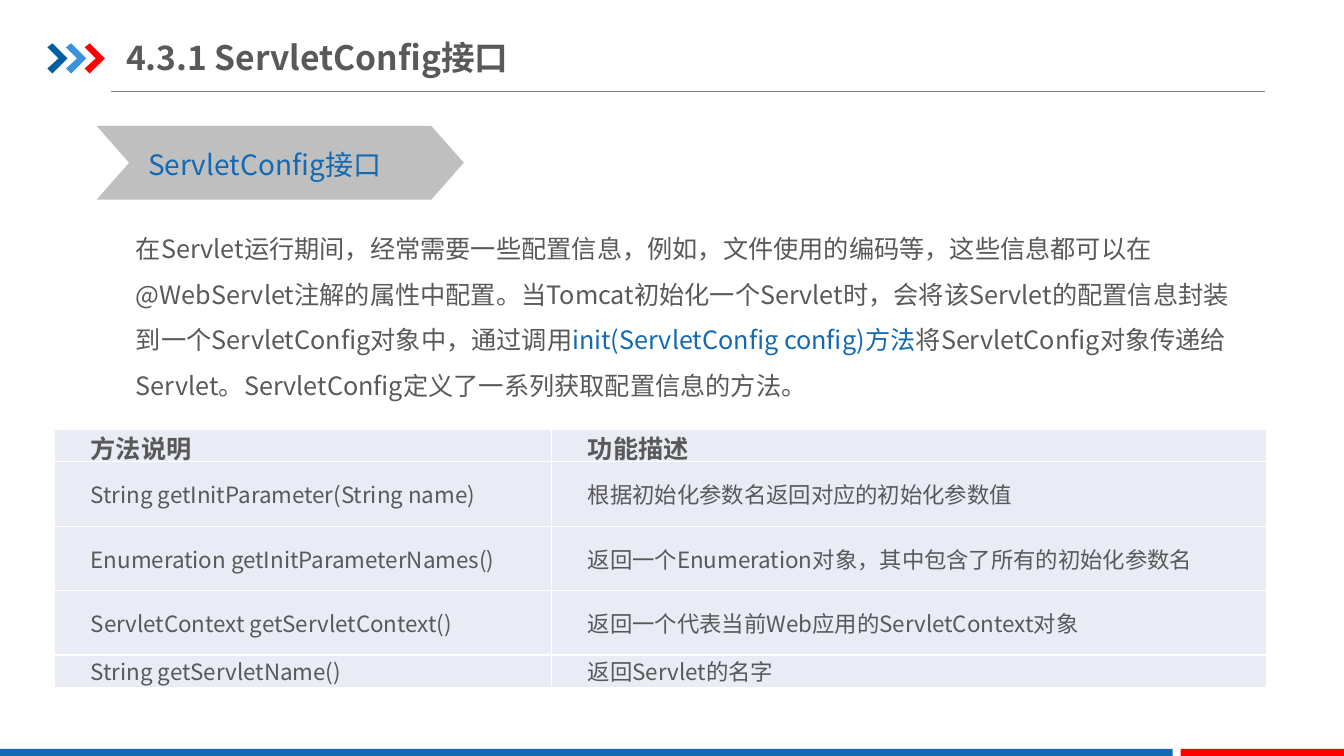
from dataclasses import dataclass

from lxml import etree
from pptx import Presentation
from pptx.dml.color import RGBColor
from pptx.enum.shapes import MSO_CONNECTOR as Connector, MSO_SHAPE as Shape
from pptx.enum.text import MSO_ANCHOR as Anchor, MSO_AUTO_SIZE as AutoSize
from pptx.oxml import parse_xml
from pptx.oxml.ns import nsdecls, qn
from pptx.util import Inches, Pt


@dataclass(frozen=True)
class Theme:
    font: str = "Noto Sans CJK SC"
    ink: str = "595959"
    blue: str = "1369B2"
    dark_blue: str = "005DA2"
    light_blue: str = "3992DB"
    red: str = "FF0000"
    rule: str = "808080"
    banner: str = "BFBFBF"
    cell: str = "E9EBF5"
    border: str = "FFFFFF"
    title: int = 24
    heading: int = 20
    body: int = 18
    table: int = 16


theme = Theme()


def write(frame, *spans, size, bold=False, anchor=Anchor.TOP, wrap=True,
          insets=(0.1, 0.05), spacing=None, indent=None):
    """Fill a text frame or cell with one paragraph of (text, colour) spans."""
    frame.vertical_anchor = anchor
    frame.margin_left = frame.margin_right = Inches(insets[0])
    frame.margin_top = frame.margin_bottom = Inches(insets[1])
    text_frame = getattr(frame, "text_frame", frame)
    text_frame.word_wrap = wrap
    para = text_frame.paragraphs[0]
    if spacing:
        para.line_spacing = spacing
    if indent:
        properties = para._p.get_or_add_pPr()
        properties.set("marL", "0")
        properties.set("indent", str(Inches(indent)))
    for text, colour in spans:
        span = para.add_run()
        span.text = text
        span.font.size = Pt(size)
        span.font.bold = bold
        span.font.color.rgb = RGBColor.from_string(colour)
        span.font.name = theme.font
        east_asian = etree.SubElement(span._r.get_or_add_rPr(), qn("a:ea"))
        east_asian.set("typeface", theme.font)


def paint(shape, colour):
    shape.shadow.inherit = False
    shape.fill.solid()
    shape.fill.fore_color.rgb = RGBColor.from_string(colour)
    shape.line.fill.background()


deck = Presentation()
deck.slide_width, deck.slide_height = Inches(13.33), Inches(7.5)
page = deck.slides.add_slide(deck.slide_layouts[6])
shapes = page.shapes

# Title rule, arrows and footer bars
rule = shapes.add_connector(Connector.STRAIGHT, Inches(1.1), Inches(0.91),
                            Inches(12.55), Inches(0.91))
rule.line.color.rgb = RGBColor.from_string(theme.rule)
rule.line.width = Pt(0.5)
etree.SubElement(rule._element.spPr, qn("a:effectLst"))

arrow_outline = [(0, 0.04), (0.05, 0), (0.2, 0.15), (0.05, 0.3), (0, 0.25), (0.11, 0.15)]
for index, colour in enumerate((theme.dark_blue, theme.light_blue, theme.red)):
    left = 0.47 + index * 0.185
    points = [(Inches(left + x), Inches(0.43 + y)) for x, y in arrow_outline]
    builder = shapes.build_freeform(*points[0])
    builder.add_line_segments(points[1:], close=True)
    paint(builder.convert_to_shape(), colour)

for left, width, colour in ((0, 11.63, theme.blue), (11.71, 1.63, theme.red)):
    bar = shapes.add_shape(Shape.RECTANGLE, Inches(left), Inches(7.43),
                           Inches(width), Inches(0.09))
    paint(bar, colour)

title = shapes.add_textbox(Inches(1.25), Inches(0.29), Inches(4.89), Inches(0.55))
write(title.text_frame, ("4.3.1 ServletConfig接口", theme.ink), size=theme.title,
      bold=True, anchor=Anchor.MIDDLE, insets=(0, 0.07))

# Section banner
banner = shapes.add_shape(Shape.CHEVRON, Inches(0.96), Inches(1.25),
                          Inches(3.64), Inches(0.73))
banner.adjustments[0] = 0.44
paint(banner, theme.banner)

heading = shapes.add_textbox(Inches(1.37), Inches(1.41), Inches(2.58), Inches(0.44))
write(heading.text_frame, ("ServletConfig接口", theme.blue), size=theme.heading, wrap=False)
heading.text_frame.auto_size = AutoSize.SHAPE_TO_FIT_TEXT

body = shapes.add_textbox(Inches(1.25), Inches(2.12), Inches(11.15), Inches(1.97))
write(
    body.text_frame,
    ("在Servlet运行期间，经常需要一些配置信息，例如，文件使用的编码等，"
     "这些信息都可以在@WebServlet注解的属性中配置。当Tomcat初始化一个Servlet时，"
     "会将该Servlet的配置信息封装到一个ServletConfig对象中，通过调用", theme.ink),
    ("init(ServletConfig config)方法", theme.blue),
    ("将ServletConfig对象传递给Servlet。"
     "ServletConfig定义了一系列获取配置信息的方法。", theme.ink),
    size=theme.body, spacing=1.5,
)

# Method table
methods = [
    ("方法说明", "功能描述"),
    ("String getInitParameter(String name)", "根据初始化参数名返回对应的初始化参数值"),
    ("Enumeration getInitParameterNames()", "返回一个Enumeration对象，其中包含了所有的初始化参数名"),
    ("ServletContext getServletContext()", "返回一个代表当前Web应用的ServletContext对象"),
    ("String getServletName()", "返回Servlet的名字"),
]
row_heights = (0.32, 0.64, 0.64, 0.64, 0.32)
table = shapes.add_table(len(methods), 2, Inches(0.54), Inches(4.26),
                         Inches(12.02), Inches(sum(row_heights))).table
for column, width in zip(table.columns, (4.93, 7.09)):
    column.width = Inches(width)
for row, height in zip(table.rows, row_heights):
    row.height = Inches(height)

for row_index, texts in enumerate(methods):
    header = row_index == 0
    for column_index, text in enumerate(texts):
        cell = table.cell(row_index, column_index)
        write(cell, (text, theme.ink), size=theme.body if header else theme.table,
              bold=header, anchor=Anchor.TOP if header else Anchor.MIDDLE,
              insets=(0.07, 0), indent=0.29)
        cell.fill.solid()
        cell.fill.fore_color.rgb = RGBColor.from_string(theme.cell)
        for position, side in enumerate(("lnL", "lnR", "lnT", "lnB")):
            border = parse_xml(
                f'<a:{side} {nsdecls("a")} w="{Pt(1)}"><a:solidFill>'
                f'<a:srgbClr val="{theme.border}"/></a:solidFill></a:{side}>')
            cell._tc.get_or_add_tcPr().insert(position, border)

deck.save("out.pptx")
